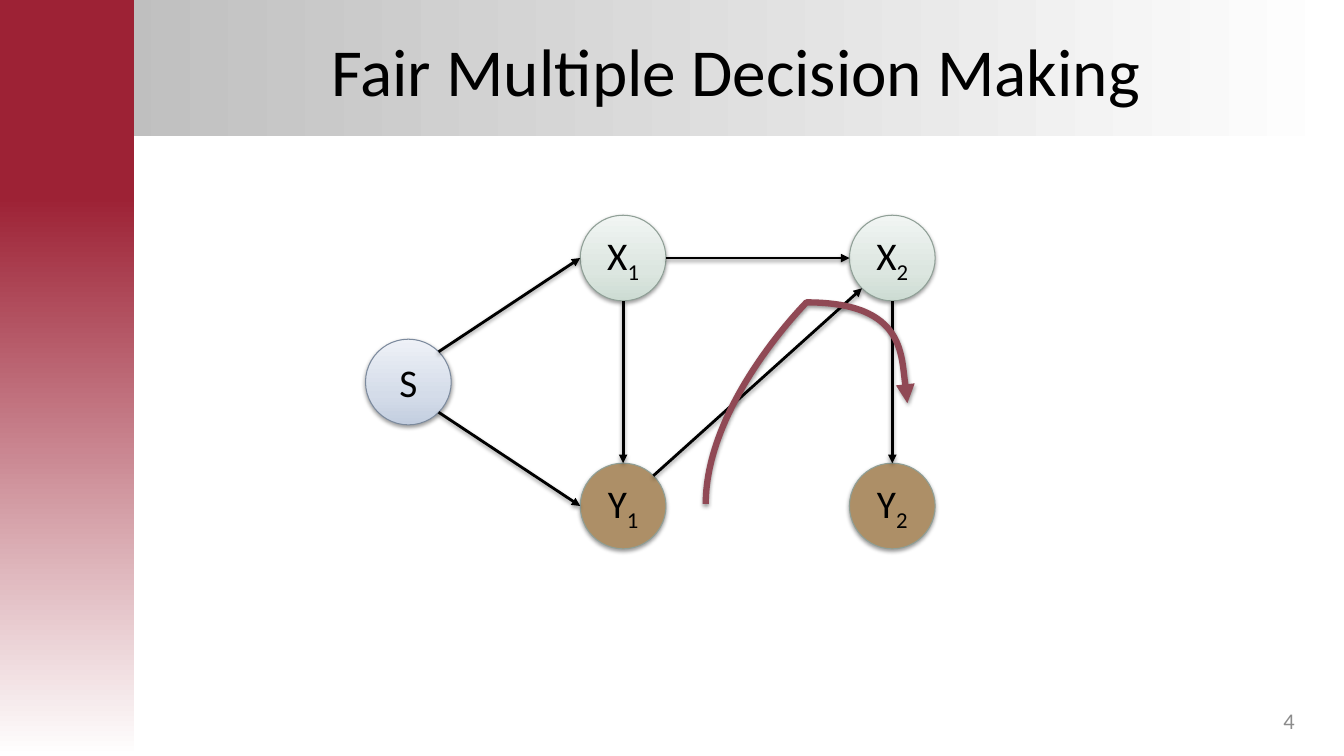
from math import cos, sin, radians
from lxml.etree import SubElement
from pptx import Presentation
from pptx.dml.color import RGBColor
from pptx.enum.shapes import MSO_CONNECTOR as Link, MSO_SHAPE as Kind
from pptx.enum.text import MSO_ANCHOR as Anchor, PP_ALIGN as Align
from pptx.oxml.ns import qn
from pptx.util import Inches, Pt

# Content
TITLE, PAGE = "Fair Multiple Decision Making", "4"
HUE = {"ink": "000000", "page": "8C8C8C", "red": "9D2235", "grey": "BFBFBF",
       "white": "FFFFFF", "curve": "904955", "tan": "AD8F67",
       "blue rim": "7C8A9D", "green rim": "8F9F96"}
BLUE = [(0, "C3CEE0"), (35, "D4DCE9"), (100, "EEF1F7")]
GREEN = [(0, "CDDCD3"), (35, "DCE6E0"), (100, "F1F5F3")]
TAN = [(0, HUE["tan"])]
# letter, index, column, row, fill, rim
NODES = [("S", "", 0, 1, BLUE, "blue rim"),
         ("X", "1", 1, 0, GREEN, "green rim"), ("Y", "1", 1, 2, TAN, "green rim"),
         ("X", "2", 2, 0, GREEN, "green rim"), ("Y", "2", 2, 2, TAN, "green rim")]
# from, to, with the side of each circle that is joined
EDGES = [("S", "NE", "X1", "W"), ("S", "SE", "Y1", "W"), ("X1", "S", "Y1", "N"),
         ("X1", "E", "X2", "W"), ("Y1", "NE", "X2", "SW"), ("X2", "S", "Y2", "N")]
SIDES = ["N", "NW", "W", "SW", "S", "SE", "E", "NE"]
CURVE = [(6.74, 4.68), (7.37, 3.85), (8.16, 3.39), (8.46, 3.3),
         (8.77, 3.22), (8.74, 3.8), (8.72, 4.46)]

# Grid: centres of the columns and rows
WIDE, HIGH, SIZE = 13.33, 7.5, 0.85
COLS = [4.05, 6.18, 8.85]
ROWS = [2.56 + 1.23 * n for n in range(3)]

deck = Presentation()
deck.slide_width, deck.slide_height = Inches(WIDE), Inches(HIGH)
slide = deck.slides.add_slide(deck.slide_layouts[6])
parts = slide.shapes


def add(parent, tag, **attrs):
    return SubElement(parent, qn(tag), {k: str(v) for k, v in attrs.items()})


def ramp(shape, stops, angle):
    grad = add(shape._element.spPr, "a:gradFill", rotWithShape=1)
    group = add(grad, "a:gsLst")
    for at, hue in stops:
        add(add(group, "a:gs", pos=at * 1000), "a:srgbClr", val=hue)
    add(grad, "a:lin", ang=angle * 60000, scaled=0)


def shade(shape):
    glow = add(add(shape._element.spPr, "a:effectLst"), "a:outerShdw",
               blurRad=Pt(3.1), dist=Pt(1.6), dir=90 * 60000, rotWithShape=0)
    add(add(glow, "a:srgbClr", val=HUE["ink"]), "a:alpha", val=38000)


def stroke(shape, hue, width, arrow=False):
    shape.line.color.rgb = RGBColor.from_string(HUE[hue])
    shape.line.width = Pt(width)
    if arrow:
        add(shape.line._get_or_add_ln(), "a:tailEnd", type="triangle")
    shade(shape)


def write(shape, texts, size, hue="ink", align=Align.CENTER, pad=0.1, wrap=True):
    frame = shape.text_frame
    look = {"word_wrap": wrap, "vertical_anchor": Anchor.MIDDLE,
            "margin_left": Inches(pad), "margin_right": Inches(pad)}
    for name, value in look.items():
        setattr(frame, name, value)
    para = frame.paragraphs[0]
    para.alignment = align
    for spot, text in enumerate(filter(None, texts)):
        run = para.add_run()
        run.text = text
        for name, value in {"name": "Calibri", "size": Pt(size)}.items():
            setattr(run.font, name, value)
        run.font.color.rgb = RGBColor.from_string(HUE[hue])
        if spot:  # the index sits below the line
            run._r.get_or_add_rPr().set("baseline", "-25000")


def box(*at):
    return parts.add_textbox(*map(Inches, at))


# Header band and side bar
for at, stops, angle in [
        ((1.12, 0, WIDE - 1.12, 1.35), [(0, HUE["grey"]), (100, HUE["white"])], 0),
        ((0, 0, 1.33, HIGH), [(26, HUE["red"]), (100, HUE["white"])], 90)]:
    band = parts.add_shape(Kind.RECTANGLE, *map(Inches, at))
    ramp(band, stops, angle)
    band.line.fill.background()
    band.shadow.inherit = False

write(box(1.66, 0.21, 11.28, 0.96), [TITLE], 48)

# Circles
nodes = {}
for letter, index, col, row, stops, rim in NODES:
    left, top = COLS[col] - SIZE / 2, ROWS[row] - SIZE / 2
    node = parts.add_shape(Kind.OVAL, *map(Inches, (left, top, SIZE, SIZE)))
    if len(stops) > 1:
        ramp(node, stops, 270)
    else:
        node.fill.solid()
        node.fill.fore_color.rgb = RGBColor.from_string(stops[0][1])
    stroke(node, rim, 0.75)
    write(node, [letter, index], 28, pad=0, wrap=False)
    nodes[letter + index] = node, COLS[col], ROWS[row]


def rim_point(name, side):
    turn = radians(90 + 45 * SIDES.index(side))
    node, x, y = nodes[name]
    return Inches(x + SIZE / 2 * cos(turn)), Inches(y - SIZE / 2 * sin(turn))


# Arrows, each joined to a site on the circle's rim
for start, out, end, into in EDGES:
    edge = parts.add_connector(Link.STRAIGHT, *rim_point(start, out),
                               *rim_point(end, into))
    stroke(edge, "ink", 2, arrow=True)
    joint = edge._element.nvCxnSpPr.cNvCxnSpPr
    for tag, name, side in (("a:stCxn", start, out), ("a:endCxn", end, into)):
        add(joint, tag, id=nodes[name][0].shape_id, idx=SIDES.index(side))

# Curved path: every three points make one cubic segment
build = parts.build_freeform(*CURVE[0], scale=Inches(1))
build.add_line_segments(CURVE[1:], close=False)
curve = build.convert_to_shape()
track = next(curve._element.iter(qn("a:path")))
steps = track.findall(qn("a:lnTo"))
for n, step in enumerate(steps):
    if n % 3 == 0:
        cubic = add(track, "a:cubicBezTo")
    cubic.append(step[0])
    track.remove(step)
curve.fill.background()
stroke(curve, "curve", 4.5, arrow=True)

# Page number
write(box(9.83, 6.95, 3.11, 0.4), [PAGE], 16, "page", Align.RIGHT)

deck.save("out.pptx")
